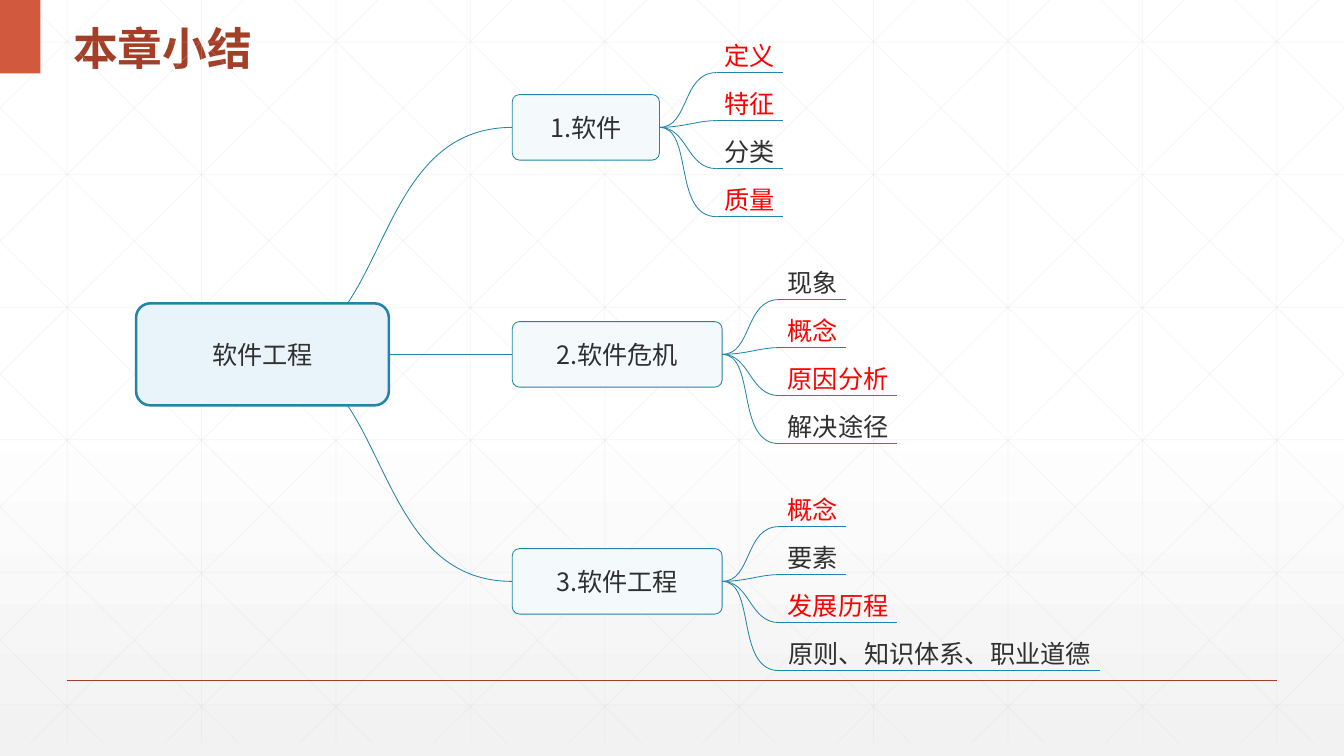
from copy import deepcopy

from lxml.etree import SubElement
from pptx import Presentation
from pptx.dml.color import RGBColor
from pptx.enum.shapes import MSO_CONNECTOR, MSO_SHAPE
from pptx.enum.text import MSO_ANCHOR, MSO_AUTO_SIZE, PP_ALIGN
from pptx.oxml.ns import qn
from pptx.util import Cm, Pt

WHITE = RGBColor(0xFF, 0xFF, 0xFF)
PALE_GREY = RGBColor(0xF2, 0xF2, 0xF2)
GRID_GREY = RGBColor(0xD9, 0xD9, 0xD9)
RUST = RGBColor(0xA4, 0x3F, 0x27)
ORANGE = RGBColor(0xD1, 0x5A, 0x3E)
TEAL = RGBColor(0x22, 0x84, 0xA7)
ROOT_FILL = RGBColor(0xE8, 0xF3, 0xFA)
BRANCH_FILL = RGBColor(0xF4, 0xF9, 0xFC)
INK = RGBColor(0x30, 0x30, 0x30)
RED = RGBColor(0xFF, 0x00, 0x00)
FONT = "Noto Sans CJK SC"
W, H = 33.87, 19.05

prs = Presentation()
prs.slide_width, prs.slide_height = Cm(W), Cm(H)
s = prs.slides.add_slide(prs.slide_layouts[5])


def add_line(x1, y1, x2, y2, color, width, alpha=None):
    c = s.shapes.add_connector(MSO_CONNECTOR.STRAIGHT, Cm(x1), Cm(y1), Cm(x2), Cm(y2))
    c.line.color.rgb = color
    c.line.width = Pt(width)
    if alpha:
        for clr in c.element.iter(qn("a:srgbClr")):
            SubElement(clr, qn("a:alpha")).set("val", str(alpha * 1000))
    SubElement(c.element.spPr, qn("a:effectLst"))


def set_text(sp, text, size, color, align=PP_ALIGN.CENTER, margin=0):
    tf = sp.text_frame
    tf.text = text
    tf.word_wrap = True
    tf.auto_size = MSO_AUTO_SIZE.NONE
    tf.vertical_anchor = MSO_ANCHOR.MIDDLE
    tf.margin_left = tf.margin_right = Cm(margin)
    tf.margin_top = tf.margin_bottom = Cm(margin / 2)
    p = tf.paragraphs[0]
    p.alignment = align
    r = p.runs[0]
    r.font.size = Pt(size)
    r.font.color.rgb = color
    r.font.name = FONT
    SubElement(r.font._element, qn("a:ea")).set("typeface", FONT)
    return r


fill = s.background.fill
fill.gradient()
fill.gradient_angle = 270
first = fill.gradient_stops[0]
first.color.rgb = WHITE
first.position = 0
last = fill.gradient_stops[1]
last.color.rgb = PALE_GREY
last.position = 1
stop_list = next(s.element.iter(qn("a:gsLst")))
middle = deepcopy(stop_list[0])
middle.set("pos", "53000")
stop_list.insert(1, middle)

GRID_BOTTOM, STEP, SLOPE = 18.72, W / 10, 0.99
grid = [(STEP * (i + 0.5), 0, STEP * (i + 0.5), GRID_BOTTOM) for i in range(10)]
grid += [(0, 1.06 + 3.34 * i, W, 1.06 + 3.34 * i) for i in range(6)]
for i in range(-5, 10):
    x0 = 0.64 + STEP * i
    x1, x2 = max(x0, 0), min(x0 + GRID_BOTTOM / SLOPE, W)
    y1, y2 = (x1 - x0) * SLOPE, (x2 - x0) * SLOPE
    grid += [(x1, y1, x2, y2), (W - x1, y1, W - x2, y2)]
for ends in grid:
    add_line(*ends, GRID_GREY, 0.5, 25)

add_line(1.69, 17.15, 32.18, 17.15, RUST, 1)
band = s.shapes.add_shape(MSO_SHAPE.RECTANGLE, 0, 0, Cm(1.02), Cm(1.85))
band.shadow.inherit = False
band.fill.solid()
band.fill.fore_color.rgb = ORANGE
band.line.fill.background()

title = s.shapes.title
title.left, title.top, title.width, title.height = Cm(1.59), Cm(0), Cm(16.03), Cm(1.85)
r = set_text(title, "本章小结", 32, RUST, PP_ALIGN.LEFT, 0.25)
r.font.bold = True
title.text_frame.margin_top = Cm(0.27)
title.text_frame.paragraphs[0].line_spacing = 1.3

ROOT_X, ROOT_W, ROOT_H, ROOT_MID = 3.43, 6.37, 2.57, 8.93
BRANCH_X, BRANCH_H, BRANCH_STEP = 12.91, 1.65, 5.72
LEAF_GAP, LEAF_H, LEAF_STEP = 1.44, 0.85, 1.21
BENDS = [(0.76, 0.56), (0.61, 0.95), (0.71, 0.68), (0.86, 0.33)]
branches = [
    ("1.软件", 3.71, [("定义", RED), ("特征", RED), ("分类", INK), ("质量", RED)]),
    ("2.软件危机", 5.29, [("现象", INK), ("概念", RED), ("原因分析", RED), ("解决途径", INK)]),
    ("3.软件工程", 5.29, [("概念", RED), ("要素", INK), ("发展历程", RED),
                      ("原则、知识体系、职业道德", INK)]),
]

boxes = [("软件工程", ROOT_X, ROOT_MID, ROOT_W, ROOT_H, ROOT_FILL, 1.8, 0.14)]
curves, leaves = [], []
for i, (name, width, topics) in enumerate(branches):
    side = i - 1
    mid = ROOT_MID + side * BRANCH_STEP
    boxes.append((name, BRANCH_X, mid, width, BRANCH_H, BRANCH_FILL, 0.6, 0.11))
    if side:
        edge = ROOT_MID + side * ROOT_H / 2
        curves.append([(8.76, edge), (9.88, edge + side * 1.68), (10.34, mid), (BRANCH_X, mid)])
    right = BRANCH_X + width
    leaf_x = right + LEAF_GAP
    for j, (topic, color) in enumerate(topics):
        base = mid - 1.38 + j * LEAF_STEP
        out, back = BENDS[j]
        curves.append([(right, mid), (right + out, mid), (right + back, base), (leaf_x, base)])
        leaves.append((topic, color, leaf_x, base))

outlines = [(points, None, None) for points in curves]
for topic, color, x, base in leaves:
    end, top = x + 0.4 + 0.64 * len(topic), base - LEAF_H
    outlines.append(([(x, top), (end, top), (end, base), (x, base)], topic, color))

for points, topic, color in outlines:
    start, *rest = [(Cm(x), Cm(y)) for x, y in points]
    builder = s.shapes.build_freeform(*start)
    builder.add_line_segments(rest, close=topic is not None)
    sp = builder.convert_to_shape()
    sp.shadow.inherit = False
    sp.fill.background()
    sp.line.color.rgb = TEAL
    sp.line.width = Pt(0.6)
    outline = next(sp.element.iter(qn("a:path")))
    if topic:
        underline = deepcopy(outline)
        outline.set("stroke", "0")
        move, *sides = underline
        move[0].set("y", underline.get("h"))
        for extra in sides[:1] + sides[2:]:
            underline.remove(extra)
        underline.set("fill", "none")
        outline.addnext(underline)
        set_text(sp, topic, 18, color)
    else:
        bezier = SubElement(outline, qn("a:cubicBezTo"))
        for segment in outline.findall(qn("a:lnTo")):
            bezier.append(segment[0])
            outline.remove(segment)
add_line(ROOT_X + ROOT_W, ROOT_MID, BRANCH_X, ROOT_MID, TEAL, 0.6)

for name, x, mid, width, height, color, border, radius in boxes:
    sp = s.shapes.add_shape(MSO_SHAPE.ROUNDED_RECTANGLE,
                            Cm(x), Cm(mid - height / 2), Cm(width), Cm(height))
    sp.adjustments[0] = radius
    sp.shadow.inherit = False
    sp.fill.solid()
    sp.fill.fore_color.rgb = color
    sp.line.color.rgb = TEAL
    sp.line.width = Pt(border)
    set_text(sp, name, 18, INK)

prs.save("out.pptx")
